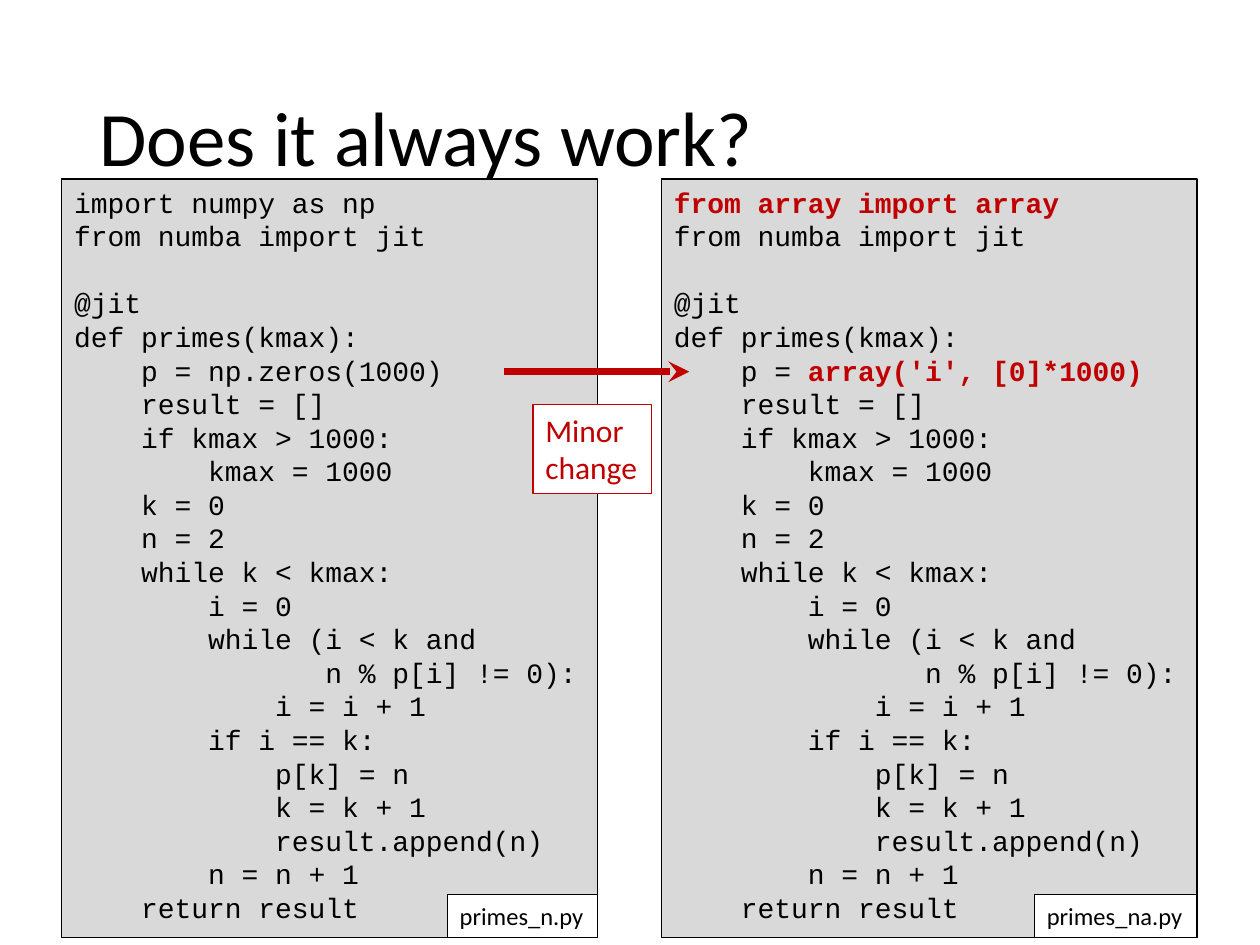
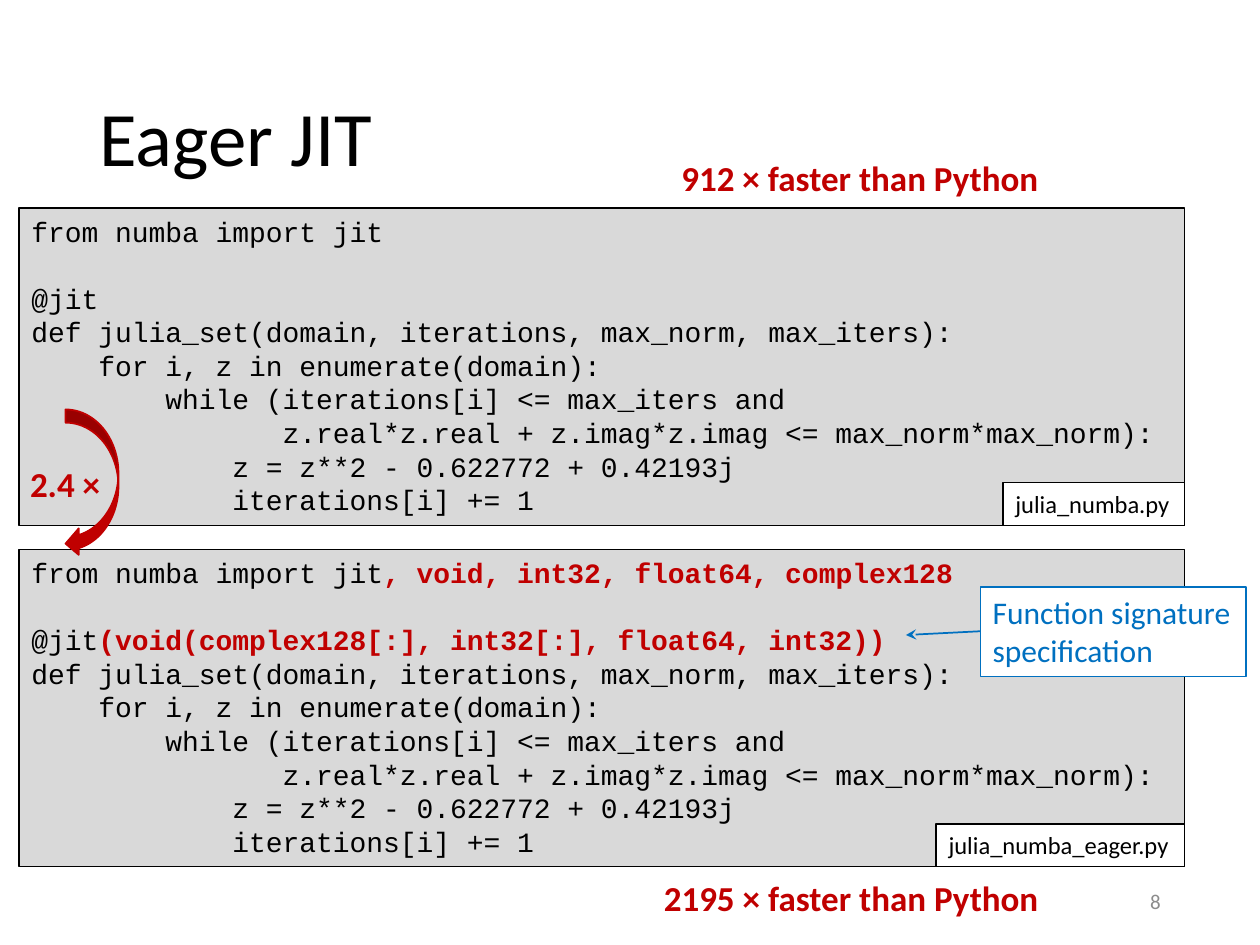
from lxml.etree import SubElement
from pptx import Presentation
from pptx.dml.color import RGBColor
from pptx.enum.shapes import MSO_CONNECTOR as Connector, MSO_SHAPE as Shape
from pptx.enum.text import MSO_ANCHOR as Anchor, MSO_AUTO_SIZE as AutoSize, PP_ALIGN as Align
from pptx.oxml.ns import qn
from pptx.util import Inches, Pt

WIDTH, HEIGHT = Inches(10), Inches(7.5)
COLUMNS, ROWS = 100, 75
BLACK, WHITE, GREY, PANEL = "000000", "FFFFFF", "8C8C8C", "D9D9D9"
RED, BLUE = "C00000", "0070C0"
BODY_FONT, CODE_FONT = "Calibri", "Courier New"
TITLE_BOX = (6.9, 4, 86.2, 14.5)
TAG_ROWS = 3.4
MARK = "|"

PRIMES_CODE = """{imports}
from numba import jit

@jit
def primes(kmax):
    p = {storage}
    result = []
    if kmax > 1000:
        kmax = 1000
    k = 0
    n = 2
    while k < kmax:
        i = 0
        while (i < k and
               n % p[i] != 0):
            i = i + 1
        if i == k:
            p[k] = n
            k = k + 1
            result.append(n)
        n = n + 1
    return result"""

JULIA_CODE = """from numba import jit{types}

@jit{signature}
def julia_set(domain, iterations, max_norm, max_iters):
    for i, z in enumerate(domain):
        while (iterations[i] <= max_iters and
               z.real*z.real + z.imag*z.imag <= max_norm*max_norm):
            z = z**2 - 0.622772 + 0.42193j
            iterations[i] += 1"""


def color(value):
    return RGBColor.from_string(value)


def across(columns):
    return round(WIDTH * columns / COLUMNS)


def down(rows):
    return round(HEIGHT * rows / ROWS)


def place(box):
    left, top, width, height = box
    return across(left), down(top), across(width), down(height)


def style(font, size, ink, name=BODY_FONT, bold=False):
    font.name, font.size, font.bold = name, Pt(size), bold
    font.color.rgb = color(ink)


def add_titled_slide(presentation, title):
    slide = presentation.slides.add_slide(presentation.slide_layouts[5])
    shape = slide.shapes.title
    shape.left, shape.top, shape.width, shape.height = place(TITLE_BOX)
    frame = shape.text_frame
    frame.text = title
    frame.vertical_anchor = Anchor.MIDDLE
    frame.auto_size = AutoSize.NONE
    paragraph = frame.paragraphs[0]
    paragraph.alignment = Align.LEFT
    paragraph.line_spacing = 0.9
    style(paragraph.font, 44, BLACK)
    return slide


def add_filled(slide, kind, box, fill, line, weight=0.75):
    shape = slide.shapes.add_shape(kind, *place(box))
    shape.shadow.inherit = False
    shape.fill.solid()
    shape.fill.fore_color.rgb = color(fill)
    shape.line.color.rgb = color(line)
    shape.line.width = Pt(weight)
    return shape


def fit_frame(shape):
    frame = shape.text_frame
    frame.word_wrap = False
    frame.auto_size = AutoSize.SHAPE_TO_FIT_TEXT
    frame.vertical_anchor = Anchor.TOP
    return frame


def add_label(slide, box, text, size, ink, line):
    frame = fit_frame(add_filled(slide, Shape.RECTANGLE, box, WHITE, line))
    paragraph = frame.paragraphs[0]
    paragraph.text = text
    paragraph.alignment = Align.LEFT
    style(paragraph.font, size, ink)


def add_code_panel(slide, box, code, file_name, tag_columns):
    frame = fit_frame(add_filled(slide, Shape.RECTANGLE, box, PANEL, BLACK))
    frame.text = code.replace(MARK, "")
    for paragraph, line in zip(frame.paragraphs, code.split("\n")):
        paragraph.alignment = Align.LEFT
        style(paragraph.font, 16, BLACK, CODE_FONT)
        if MARK in line:
            paragraph.clear()
            for index, part in enumerate(line.split(MARK)):
                if part:
                    run = paragraph.add_run()
                    run.text = part
                    changed = index % 2 == 1
                    style(run.font, 16, RED if changed else BLACK, CODE_FONT, changed)
    left, top, width, height = box
    tag = (left + width - tag_columns, top + height - TAG_ROWS, tag_columns, TAG_ROWS)
    add_label(slide, tag, file_name, 14, BLACK, BLACK)


def add_arrow(slide, start, end, ink, weight):
    points = across(start[0]), down(start[1]), across(end[0]), down(end[1])
    arrow = slide.shapes.add_connector(Connector.STRAIGHT, *points)
    arrow.line.color.rgb = color(ink)
    arrow.line.width = Pt(weight)
    SubElement(arrow.line._get_or_add_ln(), qn("a:tailEnd"), type="stealth")
    SubElement(arrow._element.spPr, qn("a:effectLst"))


def add_remark(slide, box, text):
    frame = fit_frame(slide.shapes.add_textbox(*place(box)))
    frame.text = text
    style(frame.paragraphs[0].font, 20, RED, bold=True)


def add_page_number(slide, number):
    frame = slide.shapes.add_textbox(*place((70.6, 69.5, 22.5, 4))).text_frame
    frame.word_wrap = True
    frame.vertical_anchor = Anchor.MIDDLE
    frame.text = number
    paragraph = frame.paragraphs[0]
    paragraph.alignment = Align.RIGHT
    style(paragraph.font, 12, GREY)


def build_primes_slide(presentation):
    slide = add_titled_slide(presentation, "Does it always work?")
    changed = PRIMES_CODE.format(imports="|from array import array|",
                                 storage="|array('i', [0]*1000)|")
    basic = PRIMES_CODE.format(imports="import numpy as np", storage="np.zeros(1000)")
    add_code_panel(slide, (52.5, 14.2, 42.5, 60.2), changed, "primes_na.py", 12.9)
    add_code_panel(slide, (4.9, 14.2, 42.5, 60.2), basic, "primes_n.py", 11.9)
    add_label(slide, (42.3, 32.1, 9.4, 7.1), "Minor\vchange", 18, RED, RED)
    add_arrow(slide, (40, 29.5), (54.7, 29.5), RED, 4)


def build_julia_slide(presentation):
    slide = add_titled_slide(presentation, "Eager JIT")
    add_page_number(slide, "8")
    lazy = JULIA_CODE.format(types="", signature="")
    eager = JULIA_CODE.format(
        types="|, void, int32, float64, complex128|",
        signature="|(void(complex128[:], int32[:], float64, int32))|")
    add_code_panel(slide, (1.5, 16.5, 92.5, 25.2), lazy, "julia_numba.py", 14.4)
    add_code_panel(slide, (1.5, 43.6, 92.5, 25.2), eager, "julia_numba_eager.py", 19.7)
    add_label(slide, (77.8, 46.6, 21.1, 7.1), "Function signature\vspecification", 18, BLUE, BLUE)
    add_arrow(slide, (77.8, 50.1), (71.9, 50.4), BLUE, 1)
    add_remark(slide, (51.7, 69.1, 32.1, 4.4), "2195 × faster than Python")
    add_remark(slide, (53.1, 11.9, 30.7, 4.4), "912 × faster than Python")
    add_filled(slide, Shape.CURVED_LEFT_ARROW, (5.2, 32.5, 4.2, 11.7), RED, RED, 1)
    add_remark(slide, (1.4, 36.2, 8.4, 4.4), "2.4 × ")


def main():
    presentation = Presentation()
    presentation.slide_width, presentation.slide_height = WIDTH, HEIGHT
    build_primes_slide(presentation)
    build_julia_slide(presentation)
    presentation.save("out.pptx")


main()
